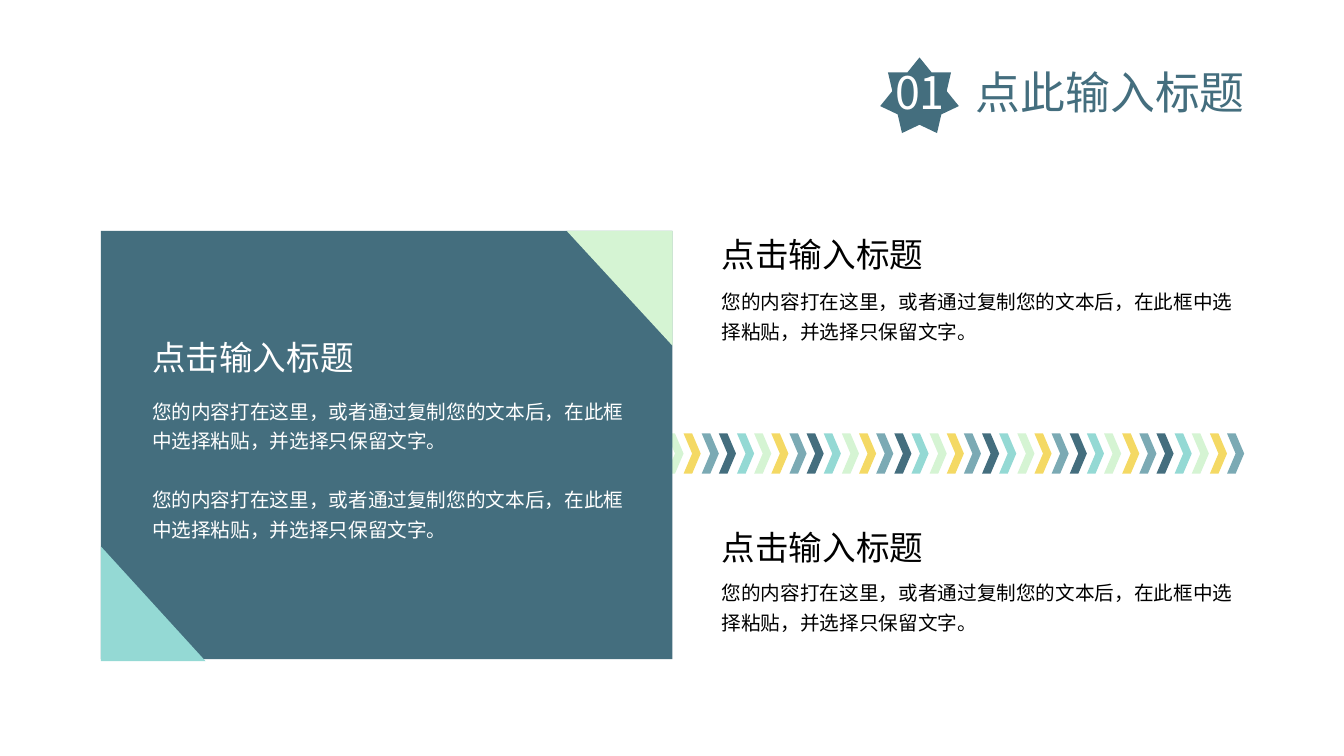
"""Build a title slide with a text panel, a chevron band and two text blocks."""
from dataclasses import dataclass

from lxml.etree import SubElement
from pptx import Presentation
from pptx.dml.color import RGBColor
from pptx.enum.shapes import MSO_SHAPE as Preset
from pptx.enum.text import MSO_AUTO_SIZE as AutoSize
from pptx.oxml.ns import qn
from pptx.slide import Slide
from pptx.util import Pt

EMU_PER_PX = 9144
FONT = "Noto Sans CJK SC"
COLORS = {
    "slate": "446E7E",
    "steel": "7BAAB4",
    "aqua": "94D9D4",
    "mint": "D5F4D3",
    "yellow": "F4D964",
    "white": "FFFFFF",
    "black": "000000",
}
CHEVRON_CYCLE = ("mint", "yellow", "steel", "slate", "aqua")
CHEVRON_COUNT = 33
CHEVRON_FIRST, CHEVRON_LAST = 661, 1217
TITLE_TAB = 80
HEADING = "点击输入标题"
BODY = "您的内容打在这里，或者通过复制您的文本后，在此框中选择粘贴，并选择只保留文字。"


@dataclass(frozen=True)
class Box:
    left: int
    top: int
    width: int
    height: int

    def emu(self) -> tuple[int, ...]:
        return tuple(px(n) for n in (self.left, self.top, self.width, self.height))


@dataclass(frozen=True)
class Figure:
    preset: Preset
    box: Box
    color: str
    rotation: int = 0


@dataclass(frozen=True)
class Words:
    text: str
    color: str


@dataclass(frozen=True)
class TextBlock:
    box: Box
    size: int
    paragraphs: tuple[tuple[Words, ...], ...]
    line_spacing: float | None = 1.25
    gap: int = 0
    tab: int = 0


def px(length: int) -> int:
    return length * EMU_PER_PX


def draw_figure(slide: Slide, figure: Figure) -> None:
    shape = slide.shapes.add_shape(figure.preset, *figure.box.emu())
    shape.shadow.inherit = False
    shape.fill.solid()
    shape.fill.fore_color.rgb = RGBColor.from_string(COLORS[figure.color])
    shape.line.fill.background()
    shape.rotation = figure.rotation


def draw_text(slide: Slide, block: TextBlock) -> None:
    frame = slide.shapes.add_textbox(*block.box.emu()).text_frame
    frame.word_wrap = True
    frame.auto_size = AutoSize.SHAPE_TO_FIT_TEXT
    for index, words_list in enumerate(block.paragraphs):
        paragraph = frame.add_paragraph() if index else frame.paragraphs[0]
        if block.line_spacing:
            paragraph.line_spacing = block.line_spacing
        if index:
            paragraph.space_before = Pt(block.gap)
        if block.tab:
            tab_list = SubElement(paragraph._p.get_or_add_pPr(), qn("a:tabLst"))
            SubElement(tab_list, qn("a:tab"), pos=str(px(block.tab)), algn="l")
        for words in words_list:
            run = paragraph.add_run()
            run.text = words.text
            run.font.size = Pt(block.size)
            run.font.name = FONT
            run.font.color.rgb = RGBColor.from_string(COLORS[words.color])
            SubElement(run.font._element, qn("a:ea"), typeface=FONT)


def heading(left: int, top: int, color: str) -> TextBlock:
    return TextBlock(Box(left, top, 222, 61), 24, ((Words(HEADING, color),),))


def body(box: Box, color: str, count: int = 1) -> TextBlock:
    return TextBlock(box, 14, ((Words(BODY, color),),) * count, gap=21)


def chevron(index: int) -> Figure:
    span = CHEVRON_LAST - CHEVRON_FIRST
    left = CHEVRON_FIRST + round(index * span / (CHEVRON_COUNT - 1))
    color = CHEVRON_CYCLE[index % len(CHEVRON_CYCLE)]
    return Figure(Preset.CHEVRON, Box(left, 430, 17, 40), color)


def main() -> None:
    presentation = Presentation()
    presentation.slide_width = px(1333)
    presentation.slide_height = px(750)
    slide = presentation.slides.add_slide(presentation.slide_layouts[6])

    for index in range(CHEVRON_COUNT):
        draw_figure(slide, chevron(index))

    draw_figure(slide, Figure(Preset.STAR_7_POINT, Box(873, 57, 78, 75), "slate"))
    title = (Words("01\t", "white"), Words("点此输入标题", "slate"))
    draw_text(slide, TextBlock(Box(878, 59, 370, 64), 32, (title,), None, tab=TITLE_TAB))

    draw_figure(slide, Figure(Preset.RECTANGLE, Box(100, 229, 567, 425), "slate"))
    for heading_top, body_top in ((217, 277), (508, 566)):
        draw_text(slide, heading(706, heading_top, "black"))
        draw_text(slide, body(Box(706, body_top, 541, 69), "black"))
    draw_text(slide, heading(141, 319, "white"))
    draw_text(slide, body(Box(141, 386, 503, 187), "white", count=2))

    for corner in (
        Figure(Preset.RIGHT_TRIANGLE, Box(562, 229, 105, 114), "mint", 180),
        Figure(Preset.RIGHT_TRIANGLE, Box(100, 542, 104, 114), "aqua"),
    ):
        draw_figure(slide, corner)

    presentation.save("out.pptx")


if __name__ == "__main__":
    main()
